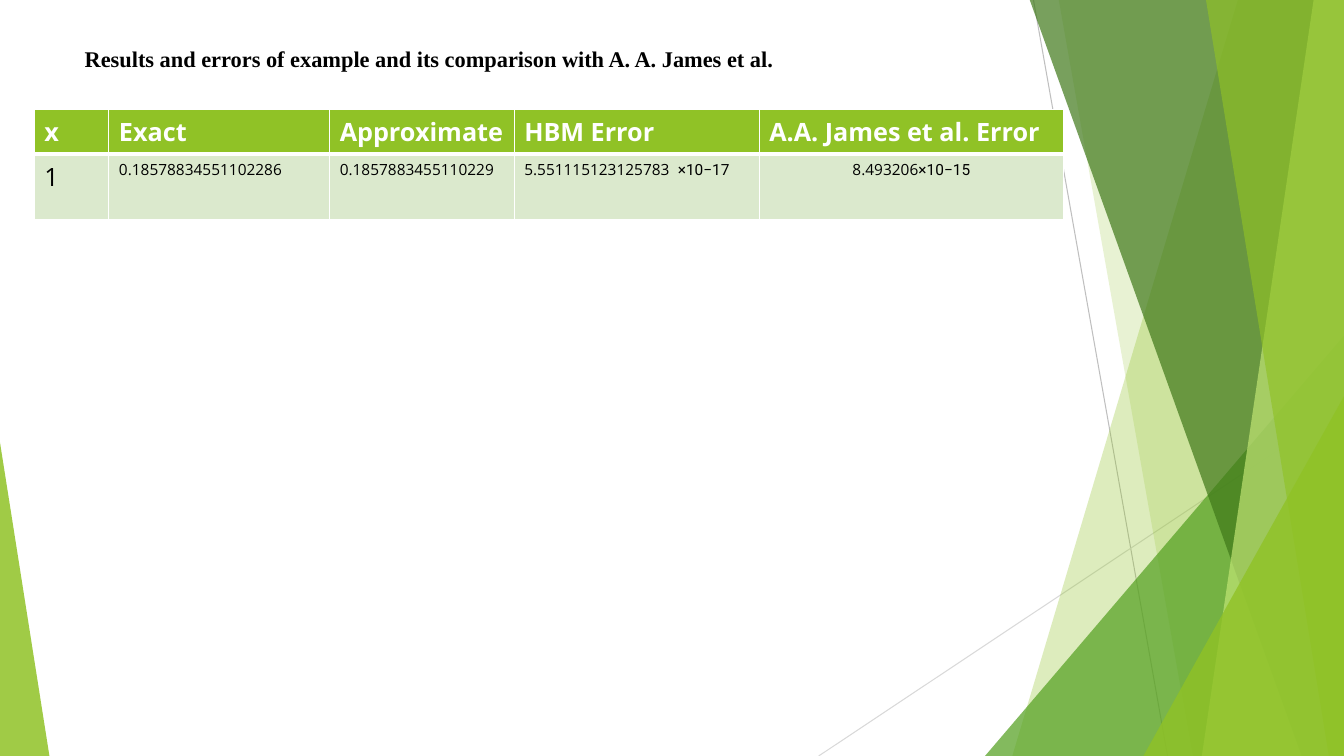
from lxml.etree import SubElement
from pptx import Presentation
from pptx.dml.color import RGBColor
from pptx.enum.shapes import MSO_CONNECTOR, MSO_SHAPE
from pptx.enum.text import MSO_ANCHOR, PP_ALIGN
from pptx.oxml.ns import qn
from pptx.util import Inches, Pt

LIME = RGBColor(0x90, 0xC2, 0x26)
PALE_LIME = RGBColor(0xC0, 0xE4, 0x74)
GREEN = RGBColor(0x54, 0xA0, 0x21)
DARK_GREEN = RGBColor(0x3F, 0x78, 0x19)
ROW_GREEN = RGBColor(0xDB, 0xE9, 0xCD)
GREY = RGBColor(0xBF, 0xBF, 0xBF)
LIGHT_GREY = RGBColor(0xD9, 0xD9, 0xD9)
WHITE = RGBColor(0xFF, 0xFF, 0xFF)
BLACK = RGBColor(0, 0, 0)

WIDTH, HEIGHT, TOP = 13.33, 7.5, -0.01

# top x, bottom x, colour, opacity; each band runs to the right edge
BANDS_BACK = [
    (12.28, 10.04, LIME, 30),
    (10.5, 11.83, LIME, 20),
]
BANDS_FRONT = [
    (10.21, 12.91, DARK_GREEN, 70),
    (13.03, 11.92, PALE_LIME, 70),
    (11.96, 13.18, LIME, 65),
]

BODY, SYMBOL = "Open Sans", "Roboto"
HEADER = ["x", "Exact", "Approximate", "HBM Error", "A.A. James et al. Error"]
RESULTS = [
    [("1", BODY)],
    [("0.18578834551102286", BODY)],
    [("0.1857883455110229", BODY)],
    [("5.551115123125783  ", BODY), ("×10−17", SYMBOL)],
    [("8.493206", BODY), ("×10−15", SYMBOL)],
]
COLUMNS = [0.74, 2.19, 1.83, 2.43, 3.02]
ROWS = [0.43, 0.65]


class Deck:
    def __init__(self):
        self.prs = Presentation()
        self.prs.slide_width, self.prs.slide_height = Inches(WIDTH), Inches(HEIGHT)
        self.s = self.prs.slides.add_slide(self.prs.slide_layouts[5])

    def paint(self, sp, color, opacity):
        sp.shadow.inherit = False
        sp.fill.solid()
        sp.fill.fore_color.rgb = color
        sp.line.fill.background()
        clr = sp.fill._xPr.find(qn("a:solidFill"))[0]
        SubElement(clr, qn("a:alpha"), val=str(opacity * 1000))

    def line(self, x1, y1, x2, y2, color):
        cn = self.s.shapes.add_connector(
            MSO_CONNECTOR.STRAIGHT, *map(Inches, (x1, y1, x2, y2)))
        cn.line.color.rgb = color
        cn.line.width = Pt(0.75)
        SubElement(cn._element.spPr, qn("a:effectLst"))

    def band(self, top_x, bottom_x, color, opacity):
        corners = [(top_x, TOP), (WIDTH, TOP), (WIDTH, HEIGHT), (bottom_x, HEIGHT)]
        points = [(Inches(x), Inches(y)) for x, y in corners]
        fb = self.s.shapes.build_freeform(*points[0])
        fb.add_line_segments(points[1:], close=True)
        self.paint(fb.convert_to_shape(), color, opacity)

    def corner(self, x, y, width, apex, color, opacity):
        """Triangle standing on the bottom edge, its apex at 0 (left) or 1 (right)."""
        sp = self.s.shapes.add_shape(
            MSO_SHAPE.ISOSCELES_TRIANGLE, *map(Inches, (x, y, width, HEIGHT - y)))
        sp.adjustments[0] = apex
        self.paint(sp, color, opacity)

    def run(self, p, text, color, **font):
        r = p.add_run()
        r.text = text
        r.font.color.rgb = color
        for name, value in font.items():
            setattr(r.font, name, value)

    def title(self, text, x, y, w, h):
        sp = self.s.shapes.title
        box = dict(left=x, top=y, width=w, height=h)
        for name, value in box.items():
            setattr(sp, name, Inches(value))
        tf = sp.text_frame
        tf.word_wrap = True
        tf.vertical_anchor = MSO_ANCHOR.TOP
        p = tf.paragraphs[0]
        p.alignment = PP_ALIGN.LEFT
        self.run(p, text, BLACK, name="Times New Roman", size=Pt(16), bold=True)
        self.s.shapes._spTree.append(sp._element)  # bring to front

    def cell(self, cell, runs, fill, color, size, bold, bottom=1, align=PP_ALIGN.LEFT):
        tcPr = cell._tc.get_or_add_tcPr()
        for side, width in dict(L=1, R=1, T=1, B=bottom).items():
            ln = SubElement(tcPr, qn(f"a:ln{side}"), w=str(Pt(width)))
            SubElement(SubElement(ln, qn("a:solidFill")), qn("a:srgbClr"), val=str(WHITE))
        cell.fill.solid()
        cell.fill.fore_color.rgb = fill
        p = cell.text_frame.paragraphs[0]
        p.alignment = align
        for text, font in runs:
            self.run(p, text, color, name=font, size=Pt(size), bold=bold)

    def table(self, x, y):
        table = self.s.shapes.add_table(
            len(ROWS), len(COLUMNS),
            *map(Inches, (x, y, sum(COLUMNS), sum(ROWS)))).table
        for row, height in zip(table.rows, ROWS):
            row.height = Inches(height)
        last = len(COLUMNS) - 1
        for i, (width, head, result) in enumerate(zip(COLUMNS, HEADER, RESULTS)):
            table.columns[i].width = Inches(width)
            self.cell(table.cell(0, i), [(head, BODY)], LIME, WHITE, 18, True, bottom=3)
            tc = table.cell(1, i)
            self.cell(tc, result, ROW_GREEN, BLACK, 11 if i else 18, False,
                      align=PP_ALIGN.CENTER if i == last else PP_ALIGN.LEFT)
            # keep the heavy rule under the header
            tc._tc.tcPr.find(qn("a:lnT")).set("w", str(Pt(3)))


def main():
    d = Deck()
    d.line(10.25, 0, 11.58, HEIGHT, GREY)
    d.line(WIDTH, 4.03, 8.12, HEIGHT, LIGHT_GREY)
    for band in BANDS_BACK:
        d.band(*band)
    d.corner(9.77, 3.33, 3.56, 1, GREEN, 72)
    for band in BANDS_FRONT:
        d.band(*band)
    d.corner(11.34, 3.93, 1.99, 1, LIME, 80)
    d.corner(0, 4.39, 0.49, 0, LIME, 85)
    d.title("Results and errors of example and its comparison with A. A. James et al.",
            0.74, 0.4, 9.4, 0.44)
    d.table(0.34, 1.09)
    d.prs.save("out.pptx")


if __name__ == "__main__":
    main()
